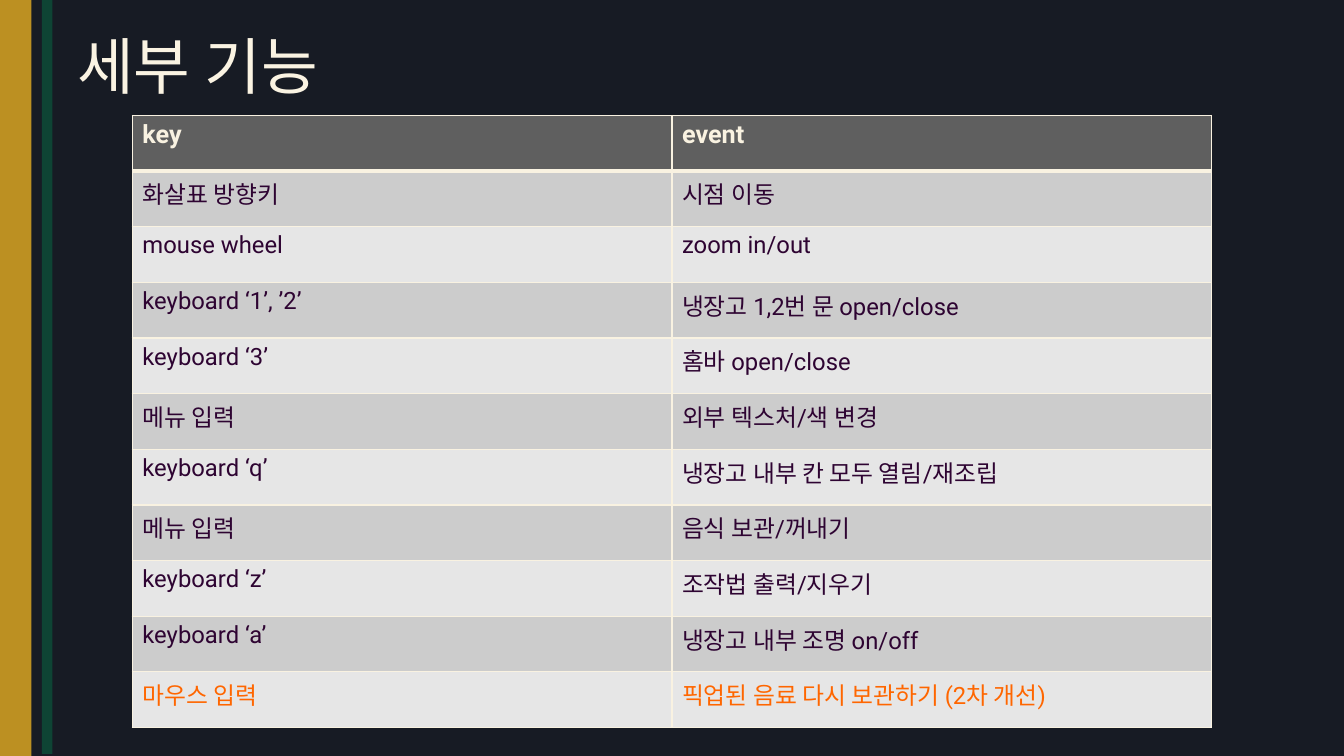
from dataclasses import dataclass
from lxml.etree import SubElement
from pptx import Presentation
from pptx.dml.color import RGBColor
from pptx.enum.shapes import MSO_SHAPE
from pptx.enum.text import MSO_ANCHOR, MSO_AUTO_SIZE, PP_ALIGN
from pptx.oxml.ns import qn
from pptx.slide import Slide
from pptx.table import _Cell
from pptx.text.text import _Run
from pptx.util import Emu, Pt

SCALE = 9525  # EMU per px, 96 px to the inch


@dataclass(frozen=True)
class Theme:
    night: str = "171B24"
    green: str = "0E4434"
    gold: str = "BC9022"
    cream: str = "FAF3E2"
    line: str = "F9F2E1"
    head: str = "5F5F5F"
    odd: str = "CCCCCC"
    even: str = "E6E6E6"
    ink: str = "2E0432"
    alert: str = "FF6600"
    title: int = 44
    label: int = 18
    body: int = 17


@dataclass(frozen=True)
class Box:
    left: int
    top: int
    width: int
    height: int


@dataclass(frozen=True)
class Bar:
    box: Box
    color: str


@dataclass(frozen=True)
class Entry:
    key: str
    event: str
    color: str
    size: int
    bold: bool = False


THEME = Theme()
INK = (THEME.ink, THEME.body)
BARS = [
    Bar(Box(40, 0, 10, 718), THEME.green),
    Bar(Box(0, 0, 30, 720), THEME.gold),
]
ENTRIES = [
    Entry("key", "event", THEME.line, THEME.label, True),
    Entry("화살표 방향키", "시점 이동", *INK),
    Entry("mouse wheel", "zoom in/out", *INK),
    Entry("keyboard ‘1’, ’2’", "냉장고 1,2번 문 open/close", *INK),
    Entry("keyboard ‘3’", "홈바 open/close", *INK),
    Entry("메뉴 입력", "외부 텍스처/색 변경", *INK),
    Entry("keyboard ‘q’", "냉장고 내부 칸 모두 열림/재조립", *INK),
    Entry("메뉴 입력", "음식 보관/꺼내기", *INK),
    Entry("keyboard ‘z’", "조작법 출력/지우기", *INK),
    Entry("keyboard ‘a’", "냉장고 내부 조명 on/off", *INK),
    Entry("마우스 입력", "픽업된 음료 다시 보관하기 (2차 개선)", THEME.alert, THEME.body),
]
ROW, COL = 53, 514


def px(count: int) -> Emu:
    return Emu(count * SCALE)


def place(box: Box) -> tuple[Emu, Emu, Emu, Emu]:
    return px(box.left), px(box.top), px(box.width), px(box.height)


def style(run: _Run, face: str, size: int, color: str, bold: bool = False) -> None:
    for name, value in {"name": face, "size": Pt(size), "bold": bold}.items():
        setattr(run.font, name, value)
    run.font.color.rgb = RGBColor.from_string(color)


def draw_bar(slide: Slide, bar: Bar) -> None:
    shape = slide.shapes.add_shape(MSO_SHAPE.RECTANGLE, *place(bar.box))
    shape.shadow.inherit = False
    shape.fill.solid()
    shape.fill.fore_color.rgb = RGBColor.from_string(bar.color)
    shape.line.fill.background()


def draw_title(slide: Slide, text: str, box: Box) -> None:
    title = slide.shapes.title
    for name, value in zip(("left", "top", "width", "height"), place(box)):
        setattr(title, name, value)
    frame = title.text_frame
    form = {"vertical_anchor": MSO_ANCHOR.MIDDLE, "word_wrap": True,
            "auto_size": MSO_AUTO_SIZE.NONE}
    for name, value in form.items():
        setattr(frame, name, value)
    line = frame.paragraphs[0]
    line.alignment = PP_ALIGN.LEFT
    run = line.add_run()
    run.text = text
    style(run, "Arial", THEME.title, THEME.cream)


def edge(cell: _Cell, widths: dict[str, int]) -> None:
    props = cell._tc.get_or_add_tcPr()
    for side, width in widths.items():
        line = SubElement(props, qn(f"a:ln{side}"), w=str(Pt(width)))
        fill = SubElement(line, qn("a:solidFill"))
        SubElement(fill, qn("a:srgbClr"), val=THEME.line)


def draw_cell(cell: _Cell, text: str, entry: Entry, row: int) -> None:
    # Borders come before the fill; a thick rule parts the header from the rows
    edge(cell, {"L": 1, "R": 1, "T": 3 if row == 1 else 1, "B": 3 if row == 0 else 1})
    shade = THEME.head if row == 0 else THEME.odd if row % 2 else THEME.even
    cell.fill.solid()
    cell.fill.fore_color.rgb = RGBColor.from_string(shade)
    run = cell.text_frame.paragraphs[0].add_run()
    run.text = text
    style(run, "Roboto", entry.size, entry.color, entry.bold)


def draw_table(slide: Slide, left: int, top: int, entries: list[Entry]) -> None:
    box = Box(left, top, 2 * COL, ROW * len(entries))
    table = slide.shapes.add_table(len(entries), 2, *place(box)).table
    for col in table.columns:
        col.width = px(COL)
    for row, entry in enumerate(entries):
        table.rows[row].height = px(ROW)
        for col, text in enumerate((entry.key, entry.event)):
            draw_cell(table.cell(row, col), text, entry, row)


def main() -> None:
    deck = Presentation()
    deck.slide_width, deck.slide_height = px(1280), px(720)
    slide = deck.slides.add_slide(deck.slide_layouts[5])

    # Background and side bars
    slide.background.fill.solid()
    slide.background.fill.fore_color.rgb = RGBColor.from_string(THEME.night)
    for bar in BARS:
        draw_bar(slide, bar)

    # Title and key table
    draw_title(slide, "세부 기능", Box(64, 20, 1152, 84))
    draw_table(slide, 126, 110, ENTRIES)
    deck.save("out.pptx")


if __name__ == "__main__":
    main()
